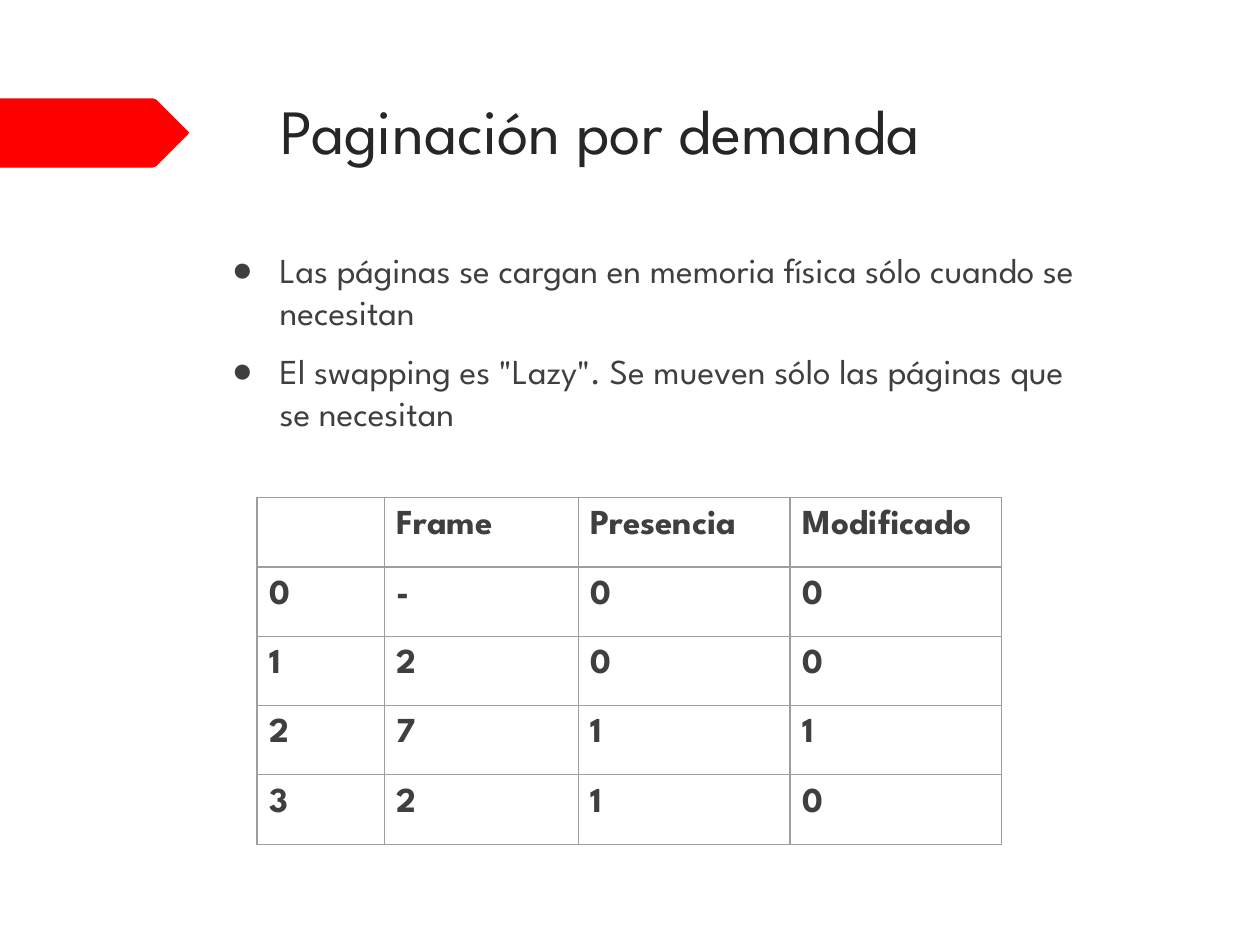
"""Build a slide on demand paging with a page table."""
from dataclasses import dataclass

from lxml.etree import SubElement
from pptx import Presentation
from pptx.dml.color import RGBColor
from pptx.enum.text import MSO_ANCHOR, MSO_AUTO_SIZE, PP_ALIGN
from pptx.oxml.ns import qn
from pptx.util import Inches, Pt

FONT = "League Spartan"
RED = RGBColor(0xFF, 0x00, 0x00)
TITLE_INK = RGBColor(0x26, 0x26, 0x26)
BODY_INK = RGBColor(0x3F, 0x3F, 0x3F)
GRID = RGBColor(0x9E, 0x9E, 0x9E)

ARROW_OUTLINE = [
    (0, 0.78), (1.21, 0.78), (1.24, 0.79), (1.49, 1.04), (1.5, 1.05),
    (1.49, 1.07), (1.24, 1.32), (1.21, 1.33), (0, 1.33),
]
POINTS = [
    "Las páginas se cargan en memoria física sólo cuando se necesitan",
    'El swapping es "Lazy". Se mueven sólo las páginas que se necesitan',
]
COLUMN_WIDTHS = [1.01, 1.54, 1.68, 1.68]
ROW_HEIGHT = 0.55


@dataclass(frozen=True)
class PageEntry:
    page: str
    frame: str
    presence: str
    modified: str

    def values(self) -> tuple[str, ...]:
        return self.page, self.frame, self.presence, self.modified


PAGE_TABLE = [
    PageEntry("", "Frame", "Presencia", "Modificado"),
    PageEntry("0", "-", "0", "0"),
    PageEntry("1", "2", "0", "0"),
    PageEntry("2", "7", "1", "1"),
    PageEntry("3", "2", "1", "0"),
]


def style_runs(paragraph, size: float, color: RGBColor, bold: bool = False) -> None:
    for run in paragraph.runs:
        run.font.name = FONT
        run.font.size = Pt(size)
        run.font.color.rgb = color
        run.font.bold = bold


def place(placeholder, left: float, top: float, width: float, height: float) -> None:
    placeholder.left, placeholder.top = Inches(left), Inches(top)
    placeholder.width, placeholder.height = Inches(width), Inches(height)
    frame = placeholder.text_frame
    frame.word_wrap = True
    frame.auto_size = MSO_AUTO_SIZE.NONE
    frame.vertical_anchor = MSO_ANCHOR.TOP


def draw_arrow(slide) -> None:
    start, *rest = [(Inches(x), Inches(y)) for x, y in ARROW_OUTLINE]
    builder = slide.shapes.build_freeform(*start)
    builder.add_line_segments(rest, close=True)
    arrow = builder.convert_to_shape()
    arrow.shadow.inherit = False
    arrow.fill.solid()
    arrow.fill.fore_color.rgb = RED
    arrow.line.fill.background()


def write_title(title) -> None:
    place(title, 2.13, 0.68, 7.21, 1.4)
    title.text_frame.text = "Paginación por demanda"
    heading = title.text_frame.paragraphs[0]
    heading.alignment = PP_ALIGN.LEFT
    style_runs(heading, 36, TITLE_INK)


def write_points(body) -> None:
    place(body, 1.74, 1.92, 6.98, 1.87)
    body.text_frame.text = "\n".join(POINTS)
    for index, point in enumerate(body.text_frame.paragraphs):
        properties = point._p.get_or_add_pPr()
        properties.set("marL", str(Inches(0.38)))
        properties.set("indent", str(-Inches(0.38)))
        SubElement(properties, qn("a:buChar"), char="●")
        point.space_before = Pt(10 if index else 0)
        style_runs(point, 20, BODY_INK)


def add_borders(cell) -> None:
    properties = cell._tc.get_or_add_tcPr()
    for side in ("lnL", "lnR", "lnT", "lnB"):
        border = SubElement(properties, qn(f"a:{side}"), w=str(Pt(0.75)))
        fill = SubElement(border, qn("a:solidFill"))
        SubElement(fill, qn("a:srgbClr"), val=str(GRID))


def fill_cell(cell, value: str) -> None:
    cell.margin_left = cell.margin_right = Inches(0.1)
    cell.margin_top = cell.margin_bottom = Inches(0.1)
    add_borders(cell)
    cell.fill.background()
    cell.text_frame.text = value
    style_runs(cell.text_frame.paragraphs[0], 20, BODY_INK, bold=True)


def draw_page_table(slide) -> None:
    table = slide.shapes.add_table(
        len(PAGE_TABLE), len(COLUMN_WIDTHS), Inches(2.04), Inches(3.95),
        Inches(sum(COLUMN_WIDTHS)), Inches(ROW_HEIGHT * len(PAGE_TABLE)),
    ).table
    table.first_row = False
    table.horz_banding = False
    for column, width in zip(table.columns, COLUMN_WIDTHS):
        column.width = Inches(width)
    for row, entry in zip(table.rows, PAGE_TABLE):
        row.height = Inches(ROW_HEIGHT)
        for cell, value in zip(row.cells, entry.values()):
            fill_cell(cell, value)


def main() -> None:
    presentation = Presentation()
    presentation.slide_width, presentation.slide_height = Inches(10), Inches(7.5)
    slide = presentation.slides.add_slide(presentation.slide_layouts[1])
    draw_arrow(slide)
    write_title(slide.shapes.title)
    write_points(slide.placeholders[1])
    draw_page_table(slide)
    presentation.save("out.pptx")


if __name__ == "__main__":
    main()
